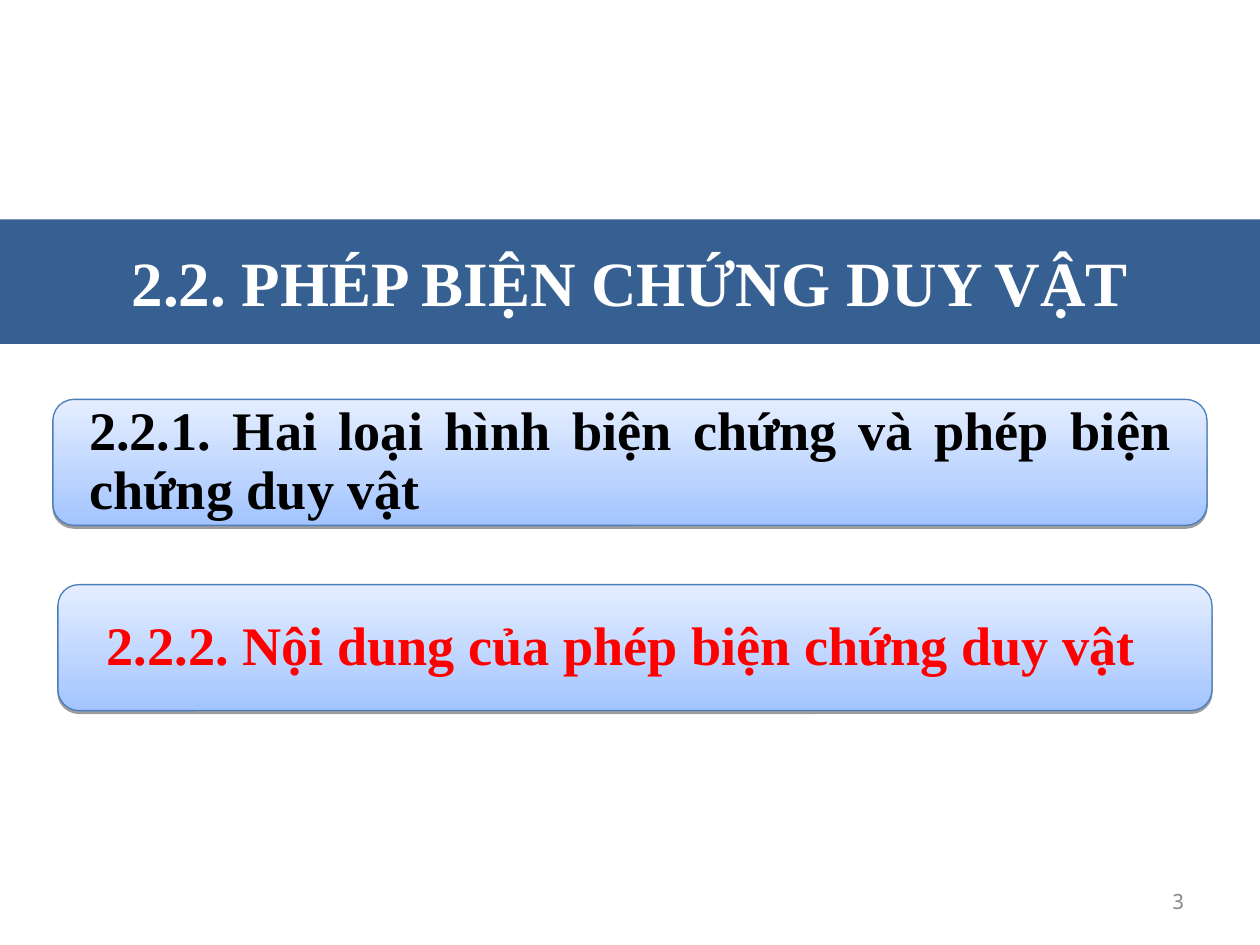
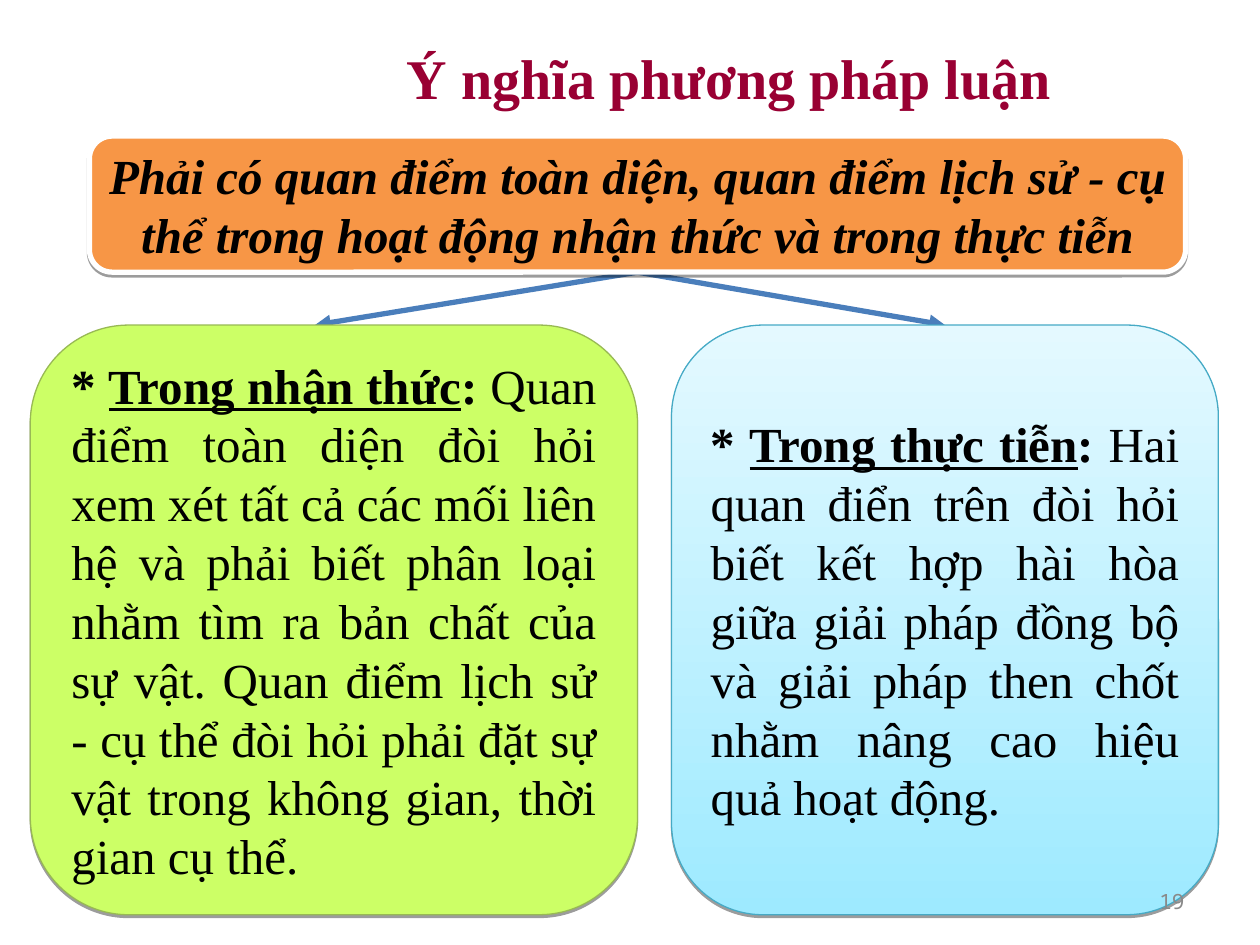
from lxml import etree
from pptx import Presentation
from pptx import util as u
from pptx.dml.color import RGBColor
from pptx.enum import shapes, text
from pptx.oxml import ns

PX = 9144
SERIF = "Times New Roman"
NUMBER_FONT = "Noto Sans Mono"

WHITE = RGBColor(0xFF, 0xFF, 0xFF)
BLACK = RGBColor(0, 0, 0)
RED = RGBColor(0xFF, 0, 0)
MAROON = RGBColor(0x99, 0, 0x33)
GREY = RGBColor(0x89, 0x89, 0x89)
NAVY = RGBColor(0x37, 0x60, 0x92)
BLUE = RGBColor(0x4A, 0x7E, 0xBB)
BLUE_DEEP = RGBColor(0xA3, 0xC4, 0xFF)
BLUE_PALE = RGBColor(0xE5, 0xEE, 0xFF)
ORANGE = RGBColor(0xF7, 0x96, 0x46)
LIME = RGBColor(0xCC, 0xFF, 0x66)
OLIVE = RGBColor(0x98, 0xB9, 0x54)
TEAL = RGBColor(0x46, 0xAA, 0xC5)
CYAN_DEEP = RGBColor(0x9E, 0xEA, 0xFF)
CYAN_PALE = RGBColor(0xE4, 0xF9, 0xFF)

LEFT, CENTER = text.PP_ALIGN.LEFT, text.PP_ALIGN.CENTER
RIGHT, JUSTIFY = text.PP_ALIGN.RIGHT, text.PP_ALIGN.JUSTIFY


def px(*lengths):
    return [u.Emu(length * PX) for length in lengths]


def write(box, spans, size, colour, align, font=SERIF, spacing=None):
    frame = box.text_frame
    frame.word_wrap = True
    frame.auto_size = text.MSO_AUTO_SIZE.NONE
    frame.vertical_anchor = text.MSO_ANCHOR.MIDDLE
    para = frame.paragraphs[0]
    para.alignment = align
    para.line_spacing = spacing
    for words, styles in spans:
        span = para.add_run()
        span.text = words
        span.font.name = font
        span.font.size = u.Pt(size)
        span.font.color.rgb = colour
        span.font.bold = "b" in styles
        span.font.italic = "i" in styles
        span.font.underline = "u" in styles


def add_page(deck, title, place, size, colour, align):
    page = deck.slides.add_slide(deck.slide_layouts[5])
    box = page.shapes.title
    box.left, box.top, box.width, box.height = px(*place)
    write(box, [(title, "b")], size, colour, align)
    return page


def add_page_number(page, number):
    box = page.shapes.add_textbox(*px(717, 695, 233, 40))
    write(box, [(number, "")], 12, GREY, RIGHT, NUMBER_FONT)


def add_shadow(box):
    box.shadow.inherit = False
    effects = box._element.spPr.find(ns.qn("a:effectLst"))
    shadow = etree.SubElement(effects, ns.qn("a:outerShdw"), dist="20320",
                              dir="5400000", rotWithShape="0")
    colour = etree.SubElement(shadow, ns.qn("a:srgbClr"), val="000000")
    etree.SubElement(colour, ns.qn("a:alpha"), val="38000")


def add_panel(page, place, fills, line, weight=0.75):
    box = page.shapes.add_shape(shapes.MSO_SHAPE.ROUNDED_RECTANGLE, *px(*place))
    if len(fills) == 1:
        box.fill.solid()
        box.fill.fore_color.rgb = fills[0]
    else:
        box.fill.gradient()
        box.fill.gradient_angle = 90
        for stop, colour in zip(box.fill.gradient_stops, fills):
            stop.color.rgb = colour
    box.line.color.rgb = line
    box.line.width = u.Pt(weight)
    add_shadow(box)
    return box


def add_section(page, place, words, colour, align, indent):
    box = add_panel(page, place, (BLUE_DEEP, BLUE_PALE), BLUE)
    frame = box.text_frame
    frame.margin_left, frame.margin_right = px(indent, 24)
    frame.margin_top = frame.margin_bottom = 0
    write(box, [(words, "b")], 31, colour, align, spacing=0.9)


def add_arrow(page, start, end):
    arrow = page.shapes.add_connector(shapes.MSO_CONNECTOR.STRAIGHT,
                                      *px(*start, *end))
    arrow.line.color.rgb = BLUE
    arrow.line.width = u.Pt(3)
    properties = arrow._element.spPr
    etree.SubElement(properties.find(ns.qn("a:ln")), ns.qn("a:tailEnd"),
                     type="triangle")
    etree.SubElement(properties, ns.qn("a:effectLst"))
    return arrow


def add_requirement(page, place, fills, line, heading, words):
    box = add_panel(page, place, fills, line)
    spans = [("* ", "b"), (heading, "bu"), (": ", "b"), (words, "")]
    write(box, spans, 28, BLACK, JUSTIFY)
    return box


def build_outline(deck):
    page = add_page(deck, "2.2. PHÉP BIỆN CHỨNG DUY VẬT",
                    (0, 174, 1000, 99), 36, WHITE, CENTER)
    page.shapes.title.fill.solid()
    page.shapes.title.fill.fore_color.rgb = NAVY
    add_section(page, (42, 317, 916, 100),
                "2.2.1. Hai loại hình biện chứng và phép biện chứng duy vật",
                BLACK, JUSTIFY, 24)
    add_section(page, (46, 464, 916, 100),
                "2.2.2. Nội dung của phép biện chứng duy vật", RED, LEFT, 34)
    add_page_number(page, "3")


def build_methodology(deck):
    page = add_page(deck, "Ý nghĩa phương pháp luận",
                    (313, 11, 542, 101), 32, MAROON, LEFT)
    arrows = [add_arrow(page, (506, 216), (x, 258)) for x in (250, 750)]
    principle = add_panel(page, (71, 108, 870, 108), (ORANGE,), WHITE, 3)
    write(principle, [("Phải có quan điểm toàn diện, quan điểm lịch sử - cụ thể "
                       "trong hoạt động nhận thức và trong thực tiễn", "bi")],
          28, BLACK, CENTER)
    add_requirement(
        page, (24, 258, 482, 468), (LIME,), OLIVE, "Trong nhận thức",
        "Quan điểm toàn diện đòi hỏi xem xét tất cả các mối liên hệ và phải "
        "biết phân loại nhằm tìm ra bản chất của sự vật. Quan điểm lịch sử - "
        "cụ thể đòi hỏi phải đặt sự vật trong không gian, thời gian cụ thể.")
    practice = add_requirement(
        page, (533, 258, 434, 468), (CYAN_DEEP, CYAN_PALE), TEAL,
        "Trong thực tiễn",
        "Hai quan điển trên đòi hỏi biết kết hợp hài hòa giữa giải pháp đồng bộ "
        "và giải pháp then chốt nhằm nâng cao hiệu quả hoạt động.")
    for arrow in arrows:
        arrow.begin_connect(principle, 2)
    arrows[1].end_connect(practice, 0)
    add_page_number(page, "19")


def main():
    deck = Presentation()
    deck.slide_width, deck.slide_height = px(1000, 750)
    build_outline(deck)
    build_methodology(deck)
    deck.save("out.pptx")


if __name__ == "__main__":
    main()
